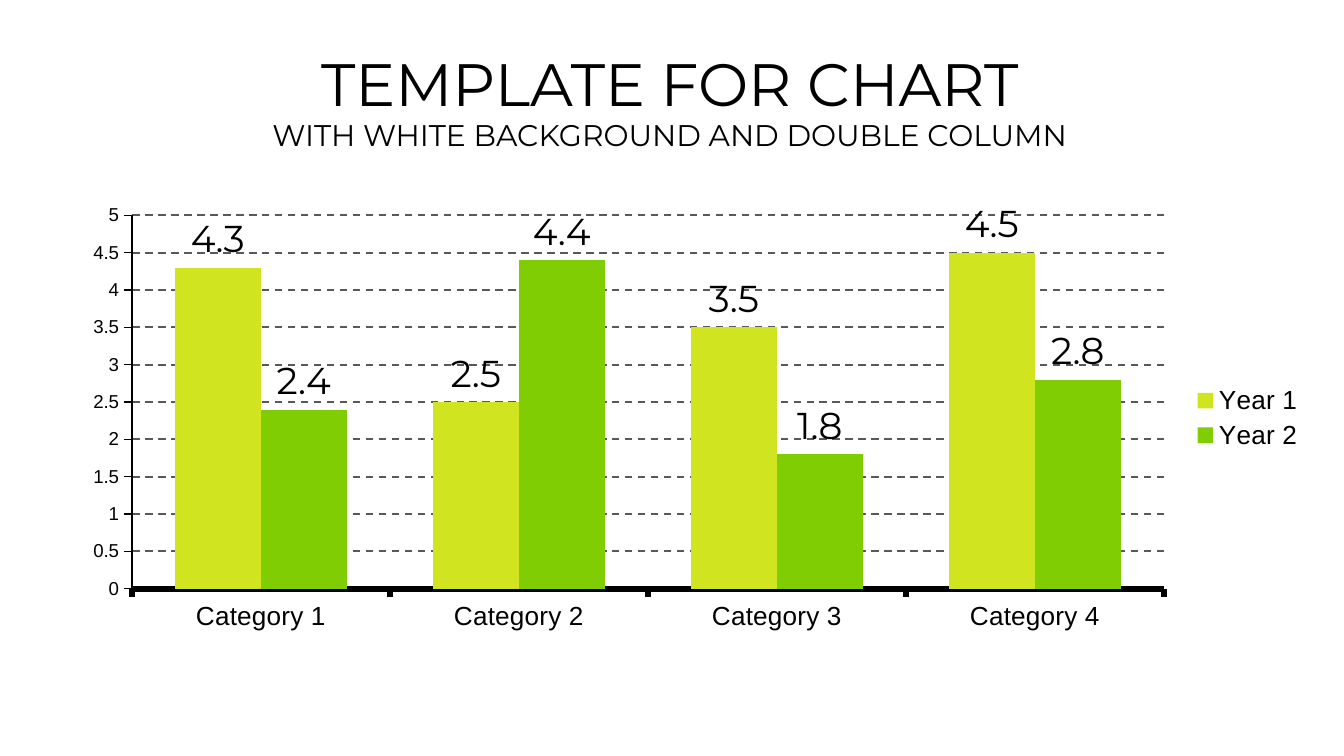
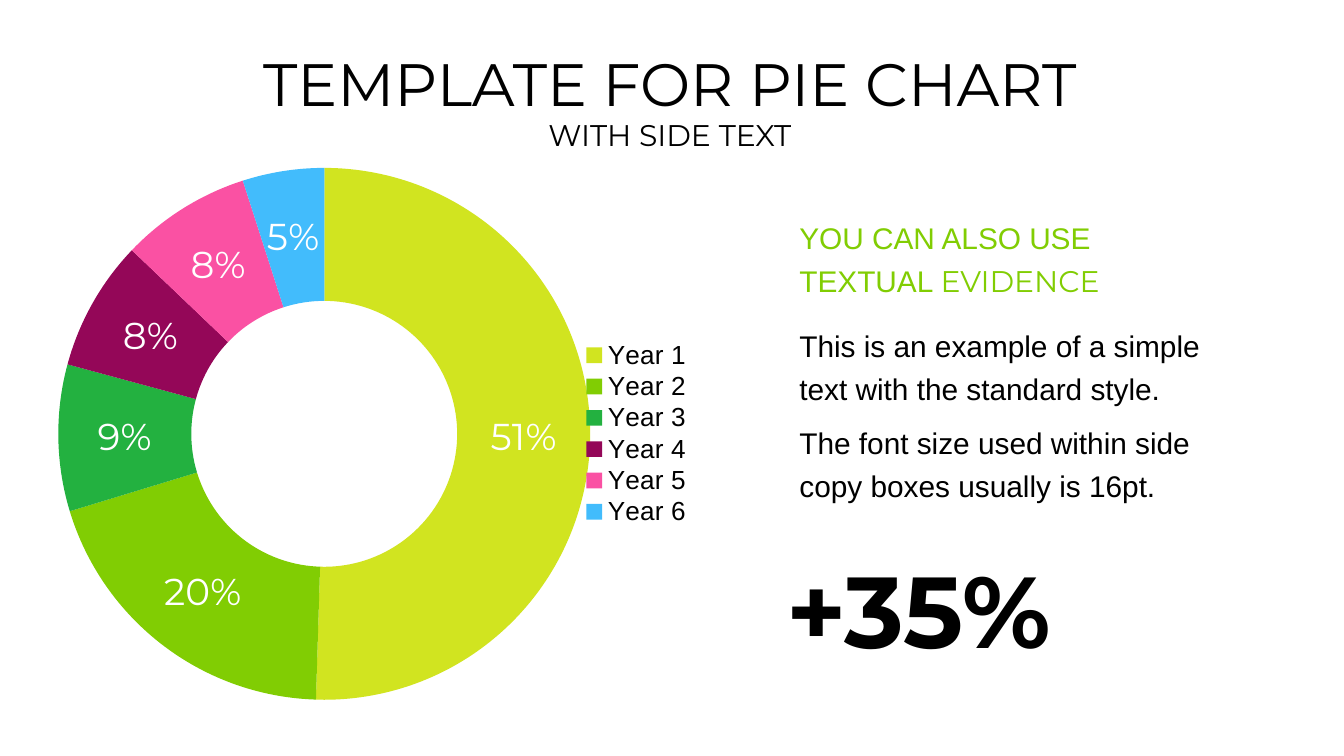
from lxml.etree import SubElement
from pptx import Presentation
from pptx.chart.data import CategoryChartData
from pptx.dml.color import RGBColor
from pptx.enum.chart import XL_CHART_TYPE, XL_LABEL_POSITION, XL_LEGEND_POSITION, XL_TICK_MARK
from pptx.enum.dml import MSO_LINE
from pptx.enum.text import MSO_ANCHOR, PP_ALIGN
from pptx.oxml.ns import qn
from pptx.util import Inches, Pt

COLOURS = {
    "paper": "FFFFFF", "ink": "000000", "grid": "595959",
    "lime": "D1E420", "green": "81CD03", "emerald": "23B140",
    "plum": "940758", "pink": "FA51A3", "sky": "42BCFC",
}
BODY, DISPLAY = "Arial", "Montserrat"
SLIDE_SIZE = Inches(10), Inches(10) * 9 // 16

AREAS = {
    "title": (6.3, 8, 87.1, 5.16),
    "subtitle": (6.3, 14.58, 87.1, 6.4),
    "columns": (5.1, 25.96, 92.9, 58.67),
    "columns plot": (9.82, 28.5, 76.79, 49.4),
    "ring": (1.7, 19.73, 54.6, 75.38),
    "ring plot": (4.34, 22.22, 39.58, 70.37),
    "ring legend": (43.2, 44.8, 8.3, 25.1),
    "growth": (58.5, 68.44, 30.6, 30.93),
    "evidence": (58.5, 27.2, 32.7, 59.02),
}
HEADINGS = [
    ("TEMPLATE FOR CHART", "WITH WHITE BACKGROUND AND DOUBLE COLUMN"),
    ("TEMPLATE FOR PIE CHART", "WITH SIDE TEXT"),
]
COLUMN_CATEGORIES = ["Category 1", "Category 2", "Category 3", "Category 4"]
COLUMN_YEARS = [
    ("Year 1", (4.3, 2.5, 3.5, 4.5), "lime"),
    ("Year 2", (2.4, 4.4, 1.8, 2.8), "green"),
]
RING_YEARS = [
    ("Year 1", 51, "lime"), ("Year 2", 20, "green"), ("Year 3", 9, "emerald"),
    ("Year 4", 8, "plum"), ("Year 5", 8, "pink"), ("Year 6", 5, "sky"),
]
GROWTH = "+35%"
EVIDENCE = [
    [("YOU CAN ALSO USE TEXTUAL ", BODY, "green"), ("EVIDENCE", DISPLAY, "green")],
    [("This is an example of a simple text with the standard style.", BODY, "ink")],
    [("The font size used within side copy boxes usually is 16pt.", BODY, "ink")],
]


def rgb(name):
    return RGBColor.from_string(COLOURS[name])


def apply(target, **values):
    for attribute, value in values.items():
        setattr(target, attribute, value)


def style_font(font, size, name=BODY, colour="ink", bold=False):
    apply(font, size=Pt(size), name=name, bold=bold)
    font.color.rgb = rgb(colour)


def place(area):
    return [round(side * share / 100) for side, share in zip(SLIDE_SIZE * 2, AREAS[area])]


def add_text(slide, area, paragraphs, size, bold=False, frame_format=None, **paragraph_format):
    frame = slide.shapes.add_textbox(*place(area)).text_frame
    apply(frame, word_wrap=True, **(frame_format or {}))
    for number, runs in enumerate(paragraphs):
        paragraph = frame.add_paragraph() if number else frame.paragraphs[0]
        apply(paragraph, **paragraph_format)
        if number:
            paragraph.space_before = Pt(6)
        for words, name, colour in runs:
            run = paragraph.add_run()
            run.text = words
            style_font(run.font, size, name, colour, bold)
    return frame


def add_heading(slide, title, subtitle):
    flush = dict.fromkeys(("margin_left", "margin_top", "margin_right", "margin_bottom"), 0)
    add_text(slide, "title", [[(title, DISPLAY, "ink")]], 32,
             frame_format=flush, alignment=PP_ALIGN.CENTER, line_spacing=0.8)
    add_text(slide, "subtitle", [[(subtitle, DISPLAY, "ink")]], 16,
             frame_format={**flush, "vertical_anchor": MSO_ANCHOR.MIDDLE},
             alignment=PP_ALIGN.CENTER)


def set_layout(parent, index, outer, part, inner=False):
    for old in parent.findall(qn("c:layout")):
        parent.remove(old)
    layout = SubElement(parent, qn("c:layout"))
    parent.insert(index, layout)
    manual = SubElement(layout, qn("c:manualLayout"))
    left, top, width, height = AREAS[outer]
    part_left, part_top, part_width, part_height = AREAS[part]
    values = {"layoutTarget": "inner"} if inner else {}
    values.update(xMode="edge", yMode="edge",
                  x=(part_left - left) / width, y=(part_top - top) / height,
                  w=part_width / width, h=part_height / height)
    for tag, value in values.items():
        SubElement(manual, qn(f"c:{tag}")).set("val", str(value))


def add_chart(slide, area, kind, categories, series, label_colour, label_format):
    data = CategoryChartData()
    data.categories = categories
    for name, values in series:
        data.add_series(name, values)
    chart = slide.shapes.add_chart(kind, *place(area), data).chart
    apply(chart, has_title=False, has_legend=True)
    style_font(chart.font, 18)
    apply(chart.legend, position=XL_LEGEND_POSITION.RIGHT, include_in_layout=False)
    style_font(chart.legend.font, 14)
    set_layout(chart._chartSpace.chart.plotArea, 0, area, f"{area} plot", inner=True)
    plot = chart.plots[0]
    plot.has_data_labels = True
    apply(plot.data_labels, show_value=True, show_percentage=False,
          number_format=label_format, number_format_is_linked=False)
    style_font(plot.data_labels.font, 20, DISPLAY, label_colour)
    return chart


def paint(part, colour):
    part.format.fill.solid()
    part.format.fill.fore_color.rgb = rgb(colour)


def style_line(line, colour, width):
    line.color.rgb = rgb(colour)
    line.width = Pt(width)


def add_columns(slide):
    chart = add_chart(slide, "columns", XL_CHART_TYPE.COLUMN_CLUSTERED, COLUMN_CATEGORIES,
                      [(name, values) for name, values, _ in COLUMN_YEARS], "ink", "General")
    plot = chart.plots[0]
    apply(plot, gap_width=100, overlap=0, vary_by_categories=False)
    plot.data_labels.position = XL_LABEL_POSITION.OUTSIDE_END
    for year, (_, _, colour) in zip(plot.series, COLUMN_YEARS):
        paint(year, colour)
    for axis, size, width in ((chart.category_axis, 14, 3), (chart.value_axis, 10, 0.75)):
        apply(axis, major_tick_mark=XL_TICK_MARK.OUTSIDE, minor_tick_mark=XL_TICK_MARK.NONE)
        style_font(axis.tick_labels.font, size)
        style_line(axis.format.line, "ink", width)
    apply(chart.value_axis, minimum_scale=0, maximum_scale=5, major_unit=0.5,
          has_major_gridlines=True)
    gridline = chart.value_axis.major_gridlines.format.line
    style_line(gridline, "grid", 1)
    gridline.dash_style = MSO_LINE.DASH


def add_ring(slide):
    names, values, colours = zip(*RING_YEARS)
    chart = add_chart(slide, "ring", XL_CHART_TYPE.DOUGHNUT, names, [("Series 1", values)],
                      "paper", '0"%"')
    chart.plots[0].vary_by_categories = True
    for index, colour in enumerate(colours):
        paint(chart.plots[0].series[0].points[index], colour)
    set_layout(chart.legend._element, 1, "ring", "ring legend")


def main():
    """Build the column chart slide and the ring chart slide."""
    deck = Presentation()
    deck.slide_width, deck.slide_height = SLIDE_SIZE
    slides = []
    for heading in HEADINGS:
        slide = deck.slides.add_slide(deck.slide_layouts[6])
        slide.background.fill.solid()
        slide.background.fill.fore_color.rgb = rgb("paper")
        add_heading(slide, *heading)
        slides.append(slide)
    column_slide, ring_slide = slides
    add_columns(column_slide)
    add_ring(ring_slide)
    add_text(ring_slide, "growth", [[(GROWTH, DISPLAY, "ink")]], 54, bold=True,
             frame_format={"margin_left": 0, "margin_bottom": 0}, line_spacing=1.2)
    evidence = add_text(ring_slide, "evidence", EVIDENCE, 16, line_spacing=1.2)
    evidence.paragraphs[0].space_after = Pt(6)
    deck.save("out.pptx")


if __name__ == "__main__":
    main()
